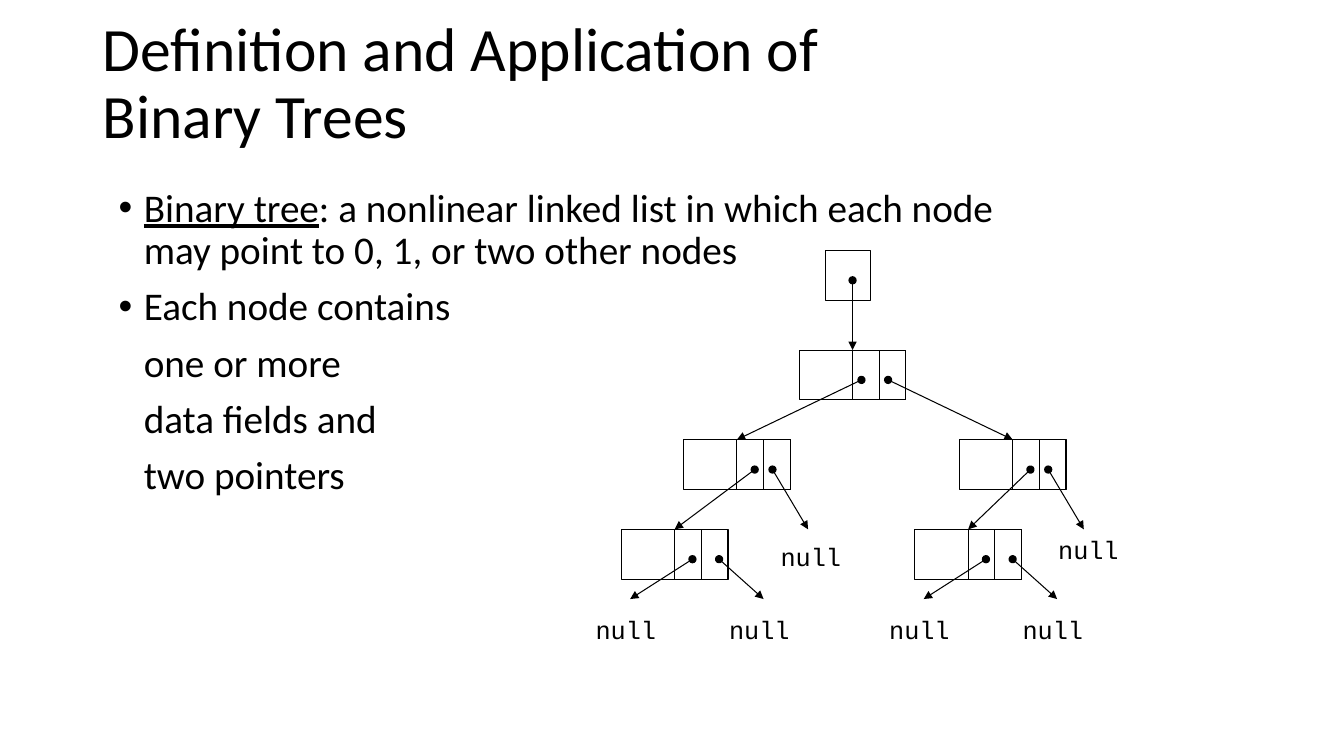
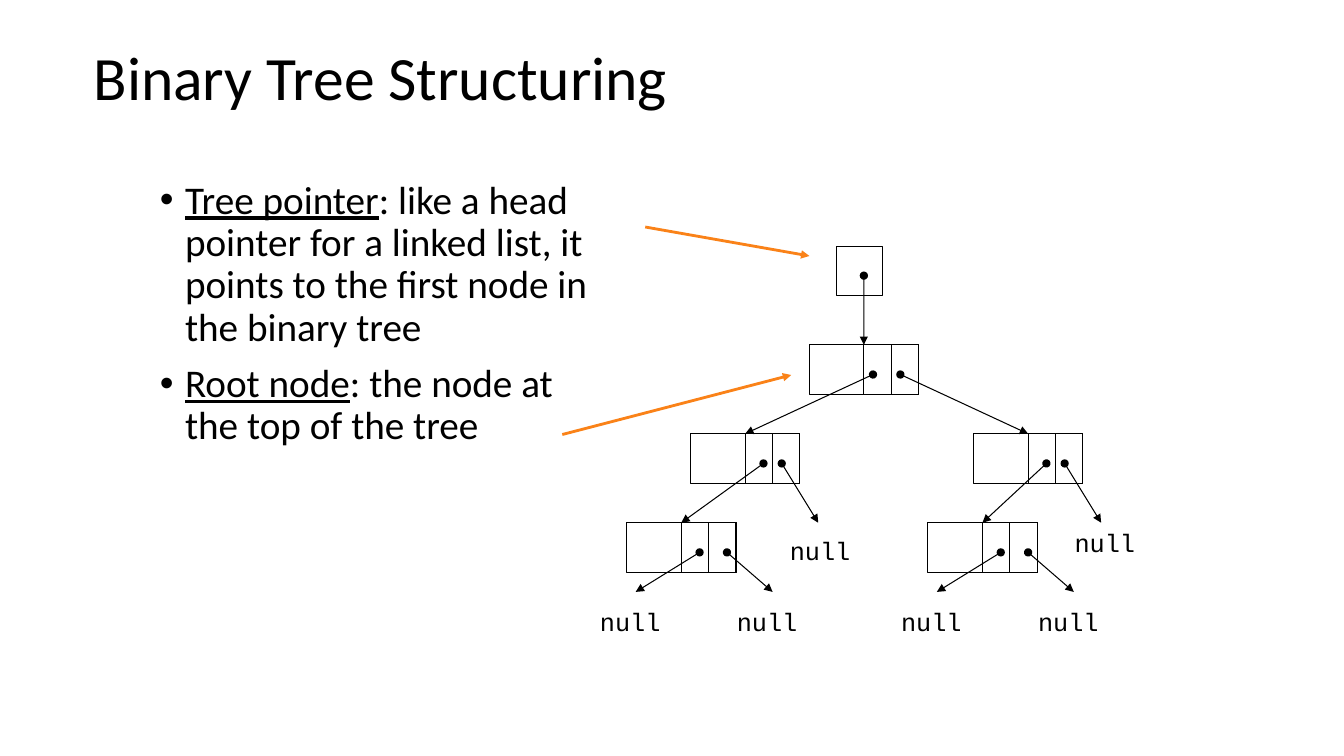
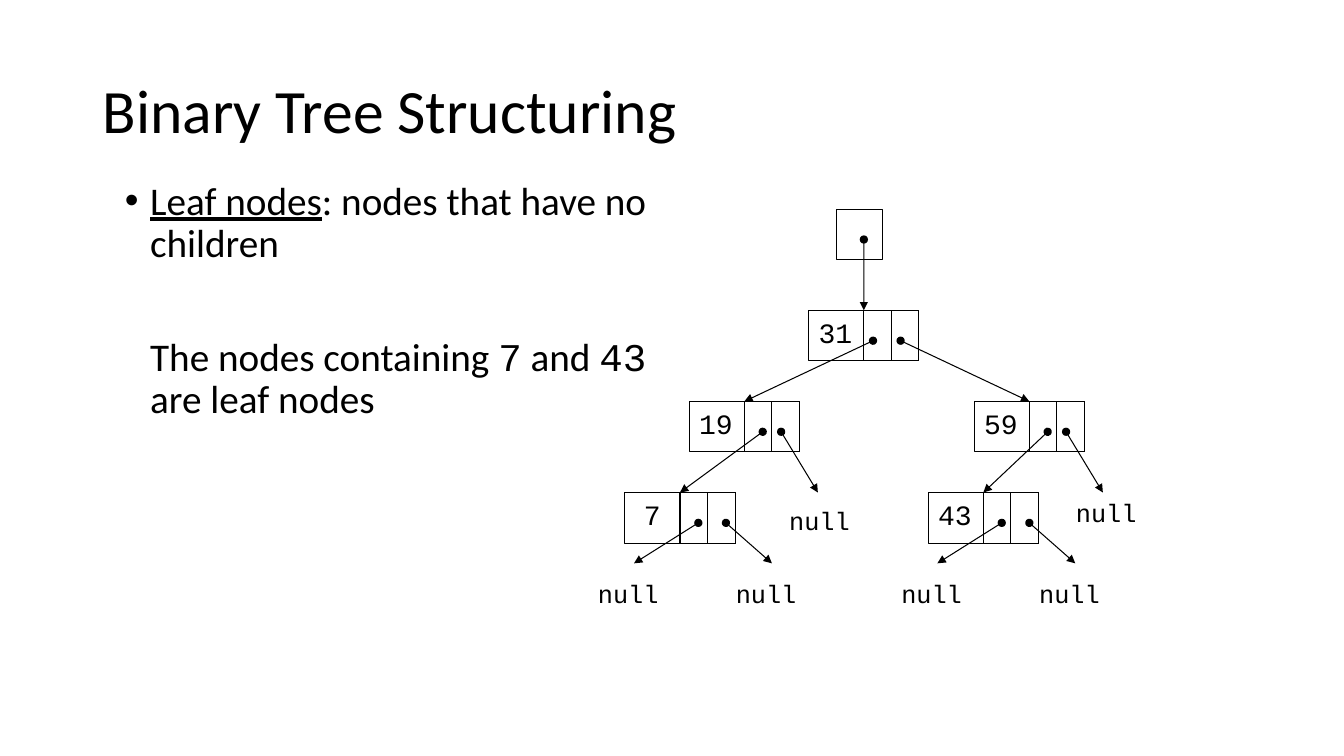
"""Build three slides that define binary trees and show their structure."""
from lxml.etree import SubElement
from pptx import Presentation
from pptx.dml.color import RGBColor
from pptx.enum.shapes import MSO_CONNECTOR, MSO_SHAPE
from pptx.enum.text import MSO_ANCHOR
from pptx.oxml.ns import qn
from pptx.util import Cm, Pt

BLACK, ORANGE = "000000", "FA8218"
SANS, MONO = "Calibri", "Courier New"

NODES = {"root": (0, 0), "left": (-13, 9), "right": (18, 9),
         "left leaf": (-20, 18), "right leaf": (13, 18)}
LINKS = [("root", 7, "left"), ("root", 10, "right"),
         ("left", 8, "left leaf"), ("right", 8, "right leaf")]
NULLS = [("left", 10, 14, 9, 9.8, 9.75), ("right", 10, 14, 9, 10, 9)]
for leaf in ("left leaf", "right leaf"):
    NULLS += [(leaf, 8, 1, 7, -4, 8), (leaf, 11, 16, 7, 11, 8)]

SLIDES = [
    {
        "title": ["Definition and Application of", "Binary Trees"],
        "title_at": (2.34, 0.3),
        "body_box": (2.74, 4.62, 23.29, 11.63),
        "body": [
            (True, 10, [("Binary tree", True, SANS),
                        (": a nonlinear linked list in which each node "
                         "may point to 0, 1, or two other nodes", False, SANS)]),
            (True, 10, [("Each node contains", False, SANS)]),
            (False, 10, [("one or more", False, SANS)]),
            (False, 10, [("data fields and", False, SANS)]),
            (False, 10, [("two pointers", False, SANS)]),
        ],
        "root_at": (20.14, 8.82), "node_width": 2.69, "pointer_rise": 2.51,
        "values": {}, "callouts": [],
    },
    {
        "title": ["Binary Tree Structuring"],
        "title_at": (2.11, 0.18),
        "body_box": (3.78, 4.42, 11.76, 11.43),
        "body": [
            (True, 10, [("Tree pointer", True, SANS),
                        (": like a head pointer for a linked list, it points "
                         "to the first node in the binary tree", False, SANS)]),
            (True, 10, [("Root node", True, SANS),
                        (": the node at the top of the tree", False, SANS)]),
        ],
        "root_at": (20.39, 8.69), "node_width": 2.76, "pointer_rise": 2.49,
        "values": {},
        "callouts": [(16.26, 5.72, 20.4, 6.45), (14.17, 10.95, 19.94, 9.45)],
    },
    {
        "title": ["Binary Tree Structuring"],
        "title_at": (2.34, 1.02),
        "body_box": (2.9, 4.45, 14.15, 11.43),
        "body": [
            (True, 10, [("Leaf nodes", True, SANS),
                        (": nodes that have no children", False, SANS)]),
            (False, 51, [("The nodes containing ", False, SANS), ("7", False, MONO),
                         (" and ", False, SANS), ("43", False, MONO),
                         (" are leaf nodes", False, SANS)]),
        ],
        "root_at": (20.38, 7.82), "node_width": 2.78, "pointer_rise": 2.55,
        "values": {"root": "31", "left": "19", "right": "59",
                   "left leaf": "7", "right leaf": "43"},
        "callouts": [],
    },
]


def add_run(p, text, size, font, underline=False):
    """Append one black run to a paragraph."""
    r = p.add_run()
    r.text = text
    r.font.size = Pt(size)
    r.font.name = font
    r.font.color.rgb = RGBColor.from_string(BLACK)
    if underline:
        r.font.underline = True


def add_arrow(s, x1, y1, x2, y2, color=BLACK, width=0.75, head="oval"):
    """Draw a straight arrow between two points given in centimetres."""
    c = s.shapes.add_connector(MSO_CONNECTOR.STRAIGHT, Cm(x1), Cm(y1), Cm(x2), Cm(y2))
    c.line.color.rgb = RGBColor.from_string(color)
    c.line.width = Pt(width)
    ln = c.line._get_or_add_ln()
    SubElement(ln, qn("a:headEnd"), type=head)
    SubElement(ln, qn("a:tailEnd"), type="triangle")
    SubElement(c._element.spPr, qn("a:effectLst"))
    return c


prs = Presentation()
prs.slide_width, prs.slide_height = Cm(33.87), Cm(19.05)

for page in SLIDES:
    s = prs.slides.add_slide(prs.slide_layouts[6])

    left, top = page["title_at"]
    tf = s.shapes.add_textbox(Cm(left), Cm(top), Cm(29.21), Cm(3.68)).text_frame
    tf.word_wrap = True
    tf.vertical_anchor = MSO_ANCHOR.MIDDLE
    p = tf.paragraphs[0]
    p.line_spacing = 0.9
    for i, line in enumerate(page["title"]):
        if i:
            p.add_line_break()
        add_run(p, line, 44, SANS)

    tf = s.shapes.add_textbox(*[Cm(n) for n in page["body_box"]]).text_frame
    tf.word_wrap = True
    for i, (bulleted, space, runs) in enumerate(page["body"]):
        p = tf.add_paragraph() if i else tf.paragraphs[0]
        p.line_spacing = 0.9
        p.space_before = Pt(space)
        pPr = p._p.get_or_add_pPr()
        pPr.set("marL", str(Pt(18)))
        if bulleted:
            pPr.set("indent", str(-Pt(18)))
            SubElement(pPr, qn("a:buFont"), typeface="Arial")
            SubElement(pPr, qn("a:buChar"), char="•")
        for text, underline, font in runs:
            add_run(p, text, 28, font, underline)

    x0, y0 = page["root_at"]
    u, v = page["node_width"] / 12, page["pointer_rise"] / 10
    at = {name: (x0 + dx * u, y0 + dy * v) for name, (dx, dy) in NODES.items()}

    boxes = [("pointer", x0 + 3 * u, y0 - 10 * v, 5 * u)]
    for name, (x, y) in at.items():
        boxes += [(name, x, y, 12 * u), ("", x + 9 * u, y, 3 * u), ("", x + 6 * u, y, 3 * u)]
    shapes = {}
    for name, x, y, w in boxes:
        sp = s.shapes.add_shape(MSO_SHAPE.RECTANGLE, Cm(x), Cm(y), Cm(w), Cm(5 * v))
        sp.shadow.inherit = False
        sp.fill.background()
        sp.line.color.rgb = RGBColor.from_string(BLACK)
        sp.line.width = Pt(0.75)
        shapes[name] = sp

    starts = [(x0 + 6 * u, y0 - 7 * v, "root")]
    starts += [(at[a][0] + dot * u, at[a][1] + 3 * v, b) for a, dot, b in LINKS]
    for x, y, child in starts:
        c = add_arrow(s, x, y, at[child][0] + 6 * u, at[child][1])
        c.end_connect(shapes[child], 0)

    labels = []
    for name, dot, end_x, end_y, text_x, text_y in NULLS:
        x, y = at[name]
        add_arrow(s, x + dot * u, y + 3 * v, x + end_x * u, y + end_y * v)
        labels.append(("null", x + text_x * u, y + text_y * v, 2.18, 18))
    for name, value in page["values"].items():
        x, y = at[name]
        if len(value) == 1:
            labels.append((value, x + u, y, 1.02, 20))
        else:
            labels.append((value, x, y, 1.5, 20))
    for text, x, y, w, size in labels:
        tf = s.shapes.add_textbox(Cm(x), Cm(y), Cm(w), Cm(1.23)).text_frame
        tf.word_wrap = False
        add_run(tf.paragraphs[0], text, size, MONO)

    for ends in page["callouts"]:
        add_arrow(s, *ends, color=ORANGE, width=2, head="none")

prs.save("out.pptx")
